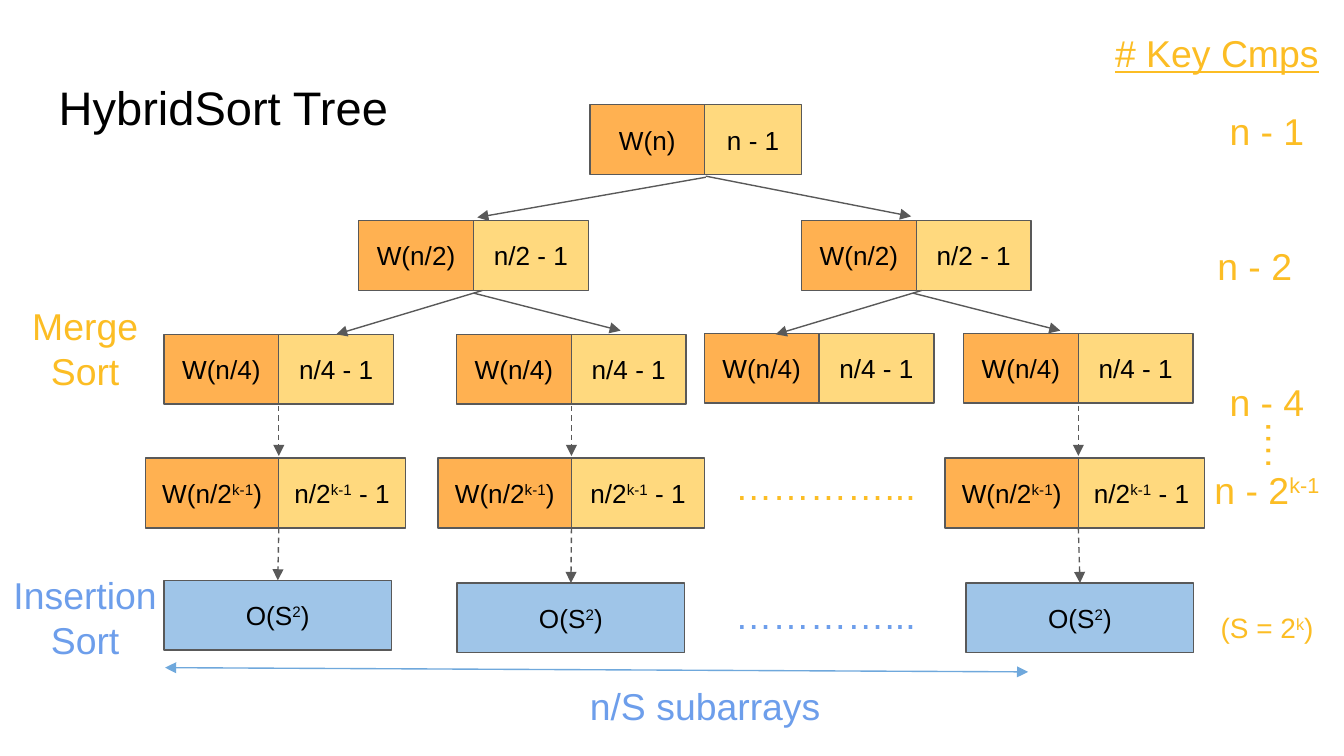
"""Build the HybridSort recursion tree slide."""
from lxml import etree
from pptx import Presentation
from pptx import util as u
from pptx.dml.color import RGBColor
from pptx.enum import dml, shapes, text
from pptx.oxml import ns

ORANGE = RGBColor(0xFF, 0xB1, 0x51)
YELLOW = RGBColor(0xFF, 0xD9, 0x7E)
PALE_BLUE = RGBColor(0x9F, 0xC5, 0xE8)
SPAN_BLUE = RGBColor(0x6F, 0xA8, 0xDC)
GOLD = RGBColor(0xFC, 0xBD, 0x24)
BLUE = RGBColor(0x6D, 0x9E, 0xEB)
GREY = RGBColor(0x59, 0x59, 0x59)
BLACK = RGBColor(0, 0, 0)
INSET = u.Cm(0.25)
FRAME = {"margin_left": INSET, "margin_right": INSET, "margin_top": INSET,
         "margin_bottom": INSET, "word_wrap": True}


def write(shape, wording, size, color, anchor=text.MSO_ANCHOR.TOP,
          align=text.PP_ALIGN.CENTER, underline=None):
    """Fill a shape with text whose parts between carets are superscript."""
    frame = shape.text_frame
    for key, value in (FRAME | {"vertical_anchor": anchor}).items():
        setattr(frame, key, value)
    paragraph = frame.paragraphs[0]
    paragraph.alignment = align
    for index, part in enumerate(wording.split("^")):
        run = paragraph.add_run()
        run.text = part
        font_format = {"name": "Arial", "size": u.Pt(size), "underline": underline}
        for key, value in font_format.items():
            setattr(run.font, key, value)
        run.font.color.rgb = color
        if index % 2:
            run.font._element.set("baseline", "30000")


def arrow(x1, y1, x2, y2, color=GREY, dashed=False, ends=("tailEnd",)):
    """Draw a straight arrow between two points given in centimetres."""
    line = slide.shapes.add_connector(
        shapes.MSO_CONNECTOR.STRAIGHT, u.Cm(x1), u.Cm(y1), u.Cm(x2), u.Cm(y2))
    line.line.color.rgb = color
    line.line.width = u.Pt(0.75)
    if dashed:
        line.line.dash_style = dml.MSO_LINE.DASH
    for end in ends:
        etree.SubElement(line.line._get_or_add_ln(), ns.qn(f"a:{end}"), type="triangle")
    etree.SubElement(line._element.spPr, ns.qn("a:effectLst"))
    return line


deck = Presentation()
deck.slide_width, deck.slide_height = u.Cm(25.4), u.Cm(14.29)
slide = deck.slides.add_slide(deck.slide_layouts[6])

BOX_HEIGHT = 1.32
LEAF_WIDTH = 4.3
levels = [
    ("W(n)", "n - 1", 2.17, [(13.32, 1.98, 1.83)]),
    ("W(n/2)", "n/2 - 1", 2.17, [(8.95, 4.17, 2.17), (17.32, 4.17, 2.17)]),
    ("W(n/4)", "n/4 - 1", 2.17, [(5.27, 6.32, 2.17), (10.8, 6.32, 2.17),
                                 (15.48, 6.3, 2.17), (20.38, 6.3, 2.17)]),
    ("W(n/2^k-1^)", "n/2^k-1^ - 1", 2.52, [(5.27, 8.66, 2.39), (10.8, 8.66, 2.52),
                                           (20.38, 8.66, 2.39)]),
]
leaves = [(3.1, 10.97), (8.64, 11.02), (18.26, 11.02)]

cells = []
for call, cost, call_width, nodes in levels:
    for seam, top, cost_width in nodes:
        cells.append((seam - call_width, top, call_width, ORANGE, call))
        cells.append((seam, top, cost_width, YELLOW, cost))
cells += [(left, top, LEAF_WIDTH, PALE_BLUE, "O(S^2^)") for left, top in leaves]

boxes = []
for left, top, width, fill, wording in cells:
    box = slide.shapes.add_shape(shapes.MSO_SHAPE.RECTANGLE, u.Cm(left), u.Cm(top),
                                 u.Cm(width), u.Cm(BOX_HEIGHT))
    box.shadow.inherit = False
    box.fill.solid()
    box.fill.fore_color.rgb = fill
    box.line.color.rgb = GREY
    box.line.width = u.Pt(0.75)
    write(box, wording, 14, BLACK, text.MSO_ANCHOR.MIDDLE)
    boxes.append(box)

for branch in [(13.34, 3.35, 9.02, 4.11), (13.34, 3.33, 17.22, 4.09),
               (8.95, 5.54, 11.73, 6.25), (17.42, 5.49, 14.66, 6.32),
               (17.25, 5.54, 20.04, 6.25)]:
    arrow(*branch)
first_quarter_cost = boxes[7]
arrow(9.12, 5.49, 6.35, 6.32).end_connect(first_quarter_cost, 0)

for seam, leaf, (left, top) in zip((5.27, 10.8, 20.38), boxes[-3:], leaves):
    arrow(seam, 7.67, seam, 8.62, dashed=True)
    descent = arrow(seam, 9.98, left + LEAF_WIDTH / 2, top, dashed=True)
    descent.end_connect(leaf, 0)

arrow(3.12, 12.62, 19.43, 12.7, SPAN_BLUE, ends=("headEnd", "tailEnd"))

labels = [
    ("n - 1", 22.56, 1.8, 2.77, 20, GOLD),
    ("n - 2", 22.33, 4.34, 2.77, 20, GOLD),
    ("n - 4", 22.56, 6.91, 2.77, 20, GOLD),
    ("n - 2^k-1^", 22.56, 8.59, 2.77, 20, GOLD),
    ("(S = 2^k^)", 22.56, 11.3, 2.77, 15, GOLD),
    ("Merge Sort", -0.08, 5.49, 3.38, 20, GOLD),
    ("Insertion Sort", -0.08, 10.57, 3.38, 20, BLUE),
    ("…………...", 13.34, 8.51, 4.52, 20, GOLD),
    ("…………...", 13.34, 10.95, 4.52, 20, BLUE),
    ("n/S subarrays", 3.78, 12.67, 19.1, 20, BLUE),
    ("# Key Cmps", 20.6, 0.33, 4.8, 20, GOLD),
    ("….", 23.24, 7.72, 1.93, 20, GOLD),
]
for wording, left, top, width, size, color in labels:
    label = slide.shapes.add_textbox(u.Cm(left), u.Cm(top), u.Cm(width), u.Cm(1.37))
    write(label, wording, size, color, underline=wording.startswith("#") or None)
    label.rotation = 90 if wording == "…." else 0

title = slide.shapes.add_textbox(u.Cm(0.86), u.Cm(1.24), u.Cm(23.67), u.Cm(1.6))
write(title, "HybridSort Tree", 25.2, BLACK, align=text.PP_ALIGN.LEFT)

deck.save("out.pptx")
